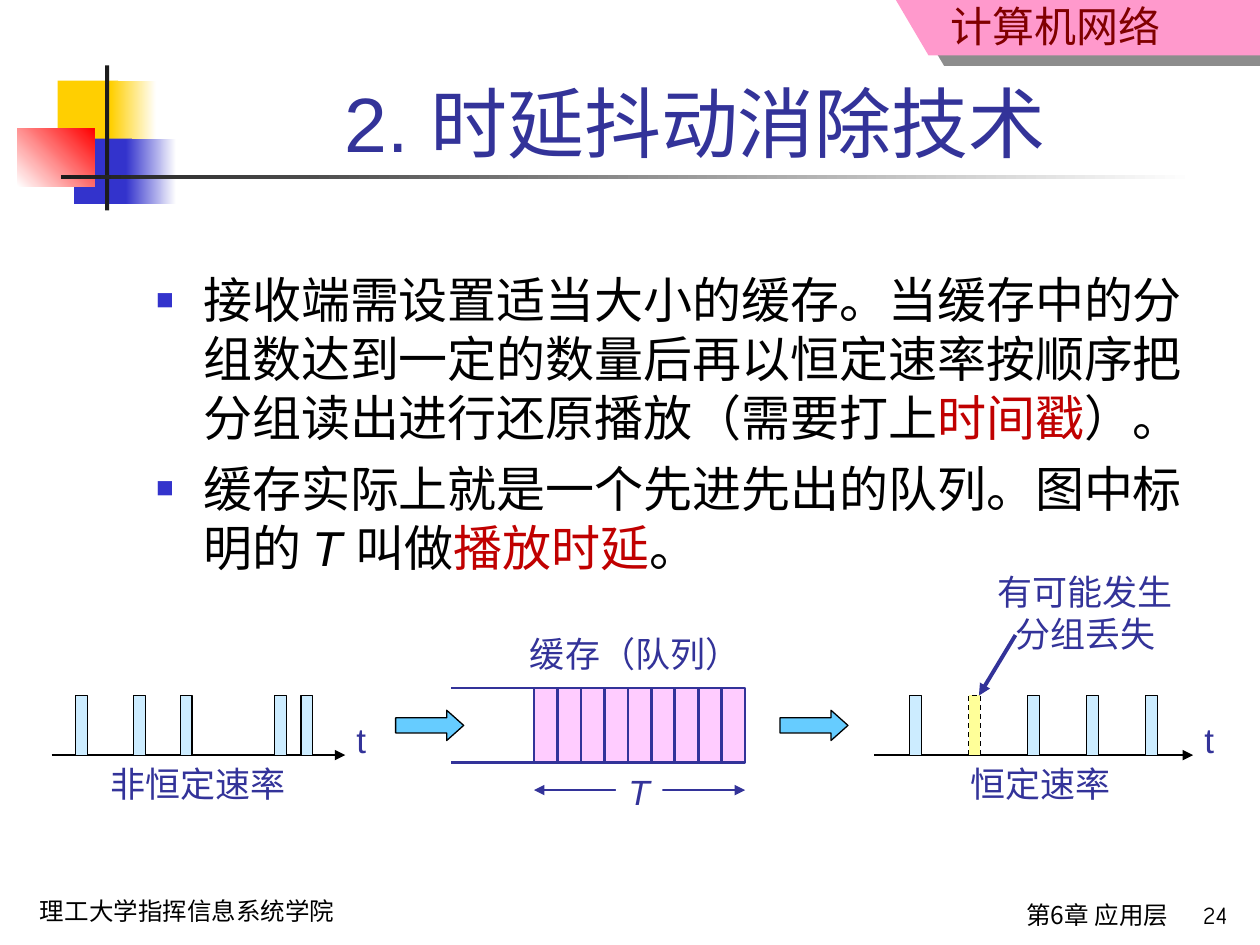
from dataclasses import dataclass
from lxml.etree import SubElement
from pptx import Presentation
from pptx.dml.color import RGBColor
from pptx.enum.dml import MSO_LINE
from pptx.enum.shapes import MSO_CONNECTOR, MSO_SHAPE
from pptx.enum.text import MSO_ANCHOR, PP_ALIGN
from pptx.oxml.ns import qn
from pptx.util import Pt


@dataclass(frozen=True)
class Theme:
    ink: str = "333399"
    black: str = "000000"
    dark: str = "1C1C1C"
    white: str = "FFFFFF"
    blue: str = "3333CC"
    gold: str = "FFCF01"
    red: str = "FF0000"
    accent: str = "C00000"
    banner: str = "FF99CC"
    maroon: str = "800000"
    packet: str = "CCECFF"
    lost: str = "FFFF99"
    queue: str = "FFCCFF"
    arrow: str = "66CCFF"
    title_size: float = 44
    body_size: float = 28
    banner_size: float = 24
    label_size: float = 20
    footer_size: float = 14
    latin: str = "Arial"
    cjk: str = "Noto Sans CJK SC"
    footer: str = "Comic Neue"


THEME = Theme()


def rgb(color):
    return RGBColor.from_string(color)


def style_span(span, size, color, font=THEME.latin, italic=False):
    span.font.size = Pt(size)
    span.font.color.rgb = rgb(color)
    span.font.name = font
    span.font.italic = italic
    SubElement(span.font._element, qn("a:ea"), typeface=THEME.cjk)


def add_text(page, box, text, size, color, font=THEME.latin, align=PP_ALIGN.LEFT,
             wrap=True, anchor=MSO_ANCHOR.TOP, italic=False):
    shape = page.shapes.add_textbox(*map(Pt, box))
    frame = shape.text_frame
    frame.text = text
    frame.word_wrap = wrap
    frame.vertical_anchor = anchor
    for para in frame.paragraphs:
        para.alignment = align
        for span in para.runs:
            style_span(span, size, color, font, italic)
    return shape


def add_label(page, box, text, align=PP_ALIGN.LEFT, italic=False):
    return add_text(page, box, text, THEME.label_size, THEME.ink,
                    align=align, wrap=False, italic=italic)


def paint(shape, fill=None, line=None, width=0.75):
    shape.shadow.inherit = False
    if fill:
        shape.fill.solid()
        shape.fill.fore_color.rgb = rgb(fill)
    else:
        shape.fill.background()
    if line:
        shape.line.color.rgb = rgb(line)
        shape.line.width = Pt(width)
    else:
        shape.line.fill.background()


def add_block(page, box, fill, line=None, kind=MSO_SHAPE.RECTANGLE):
    shape = page.shapes.add_shape(kind, *map(Pt, box))
    paint(shape, fill, line)
    return shape


def add_fade(page, box, start, end, angle=0):
    shape = add_block(page, box, start)
    shape.fill.gradient()
    shape.fill.gradient_angle = angle
    for stop, color in zip(shape.fill.gradient_stops, (start, end)):
        stop.color.rgb = rgb(color)


def add_outline(page, points, close, fill=None, line=None, width=0.75):
    corners = [(Pt(x), Pt(y)) for x, y in points]
    builder = page.shapes.build_freeform(*corners[0])
    builder.add_line_segments(corners[1:], close=close)
    shape = builder.convert_to_shape()
    paint(shape, fill, line, width)
    return shape


def add_line(page, start, end, color, width, ends=()):
    line = page.shapes.add_connector(MSO_CONNECTOR.STRAIGHT, *map(Pt, start + end))
    line.line.color.rgb = rgb(color)
    line.line.width = Pt(width)
    for tag in ends:
        SubElement(line.line._get_or_add_ln(), qn(tag), type="triangle")
    SubElement(line._element.spPr, qn("a:effectLst"))


def draw_emblem(page, left, top):
    add_block(page, (left + 23, top + 8.6, 34.5, 37.5), THEME.gold)
    add_fade(page, (left + 53.3, top + 8.6, 26, 37.5), THEME.gold, THEME.white)
    add_block(page, (left + 32.4, top + 41.8, 33, 37.4), THEME.blue)
    add_fade(page, (left + 62, top + 41.8, 28.8, 37.4), THEME.blue, THEME.white)
    add_fade(page, (left, top + 36, 44, 33.2), THEME.white, THEME.red, 45)
    add_block(page, (left + 50, top, 2.4, 82.8), THEME.dark)
    add_fade(page, (left + 24.8, top + 62.7, 648, 2.2), THEME.dark, THEME.white)


def draw_banner(page, left, top, width, height):
    right, bottom = left + width, top + height
    shape = add_outline(page, [(left, top), (left + 18.7, bottom), (right, bottom),
                               (right, top)], True, THEME.banner)
    effects = shape._element.spPr.find(qn("a:effectLst"))
    shadow = SubElement(effects, qn("a:outerShdw"), blurRad="0", dist=str(Pt(10.8)),
                        dir=str(34 * 60000), algn="ctr", rotWithShape="0")
    color = SubElement(shadow, qn("a:srgbClr"), val=THEME.dark)
    SubElement(color, qn("a:alpha"), val="50000")
    label = add_text(page, (left - 95.8, top, 254.2, 32.4), "计算机网络", THEME.banner_size,
                     THEME.maroon, THEME.cjk, PP_ALIGN.RIGHT)
    label.text_frame.margin_top = 0


def draw_body(page, box, paragraphs):
    frame = page.shapes.add_textbox(*map(Pt, box)).text_frame
    frame.word_wrap = True
    for index, parts in enumerate(paragraphs):
        para = frame.paragraphs[0] if index == 0 else frame.add_paragraph()
        properties = para._p.get_or_add_pPr()
        properties.set("marL", str(Pt(27)))
        properties.set("indent", str(Pt(-27)))
        para.space_before = Pt(7 if index else 0)
        bullet = SubElement(properties, qn("a:buClr"))
        SubElement(bullet, qn("a:srgbClr"), val=THEME.blue)
        SubElement(properties, qn("a:buSzPct"), val="60000")
        SubElement(properties, qn("a:buFont"), typeface=THEME.latin)
        SubElement(properties, qn("a:buChar"), char="■")
        for text, color, italic in parts:
            span = para.add_run()
            span.text = text
            style_span(span, THEME.body_size, color, italic=italic)


def draw_stream(page, left, base, width, offsets, caption, caption_box, lost=None):
    add_line(page, (left, base), (left + width, base), THEME.black, 0.75, ["a:tailEnd"])
    for index, offset in enumerate(offsets):
        x, top = left + offset, base - 34.2
        fill = THEME.lost if index == lost else THEME.packet
        packet = add_outline(page, [(x, base), (x, top), (x + 6.7, top), (x + 6.7, base)],
                             False, fill, THEME.black)
        if index == lost:
            packet.line.dash_style = MSO_LINE.DASH
    add_label(page, (left + width - 0.7, base - 24.5, 19.4, 31.7), "t")
    add_label(page, (left + caption_box[0], base + 0.7, caption_box[1], 31.7), caption)


def draw_queue(page, left, top, width, height):
    cells, pitch = 9, 13.4
    right, bottom = left + width, top + height
    first = right - cells * pitch
    add_block(page, (first, top, cells * pitch, height), THEME.queue)
    middle = bottom + 15.9
    add_line(page, (first, middle), (right, middle), THEME.ink, 1.5,
             ["a:headEnd", "a:tailEnd"])
    delay = add_label(page, (first + 46.8, bottom + 1.4, 26.6, 31.7), "T", italic=True)
    paint(delay, THEME.white)
    add_outline(page, [(left, top), (right, top), (right, bottom), (left, bottom)],
                False, line=THEME.ink, width=1.5)
    for index in range(cells):
        x = first + index * pitch
        add_line(page, (x, top), (x, bottom), THEME.ink, 1.5)
    add_label(page, (first - 9.4, top - 35.3, 134.6, 31.7), "缓存（队列）")


def draw_flow_arrow(page, left, top):
    arrow = add_block(page, (left, top, 38.9, 17.3), THEME.arrow, THEME.black,
                      MSO_SHAPE.RIGHT_ARROW)
    arrow.adjustments[1] = 0.56


def draw_loss_note(page, left, top):
    add_label(page, (left, top, 114.5, 55.4), "有可能发生\n分组丢失", PP_ALIGN.CENTER)
    add_line(page, (left + 17.3, top + 40.3), (left - 3.6, top + 74.9), THEME.ink, 2.25,
             ["a:tailEnd"])


def draw_footer(page, top):
    for box, text, font, align in (
            ((15.8, top, 224, 24.5), "理工大学指挥信息系统学院", THEME.footer, PP_ALIGN.LEFT),
            ((651.6, top + 2.2, 56.9, 27.4), "24", THEME.footer, PP_ALIGN.RIGHT),
            ((308.9, top + 2.2, 365.8, 29.5), "第6章 应用层", THEME.cjk, PP_ALIGN.RIGHT)):
        add_text(page, box, text, THEME.footer_size, THEME.black, font, align)


def main():
    deck = Presentation()
    deck.slide_width, deck.slide_height = Pt(720), Pt(540)
    page = deck.slides.add_slide(deck.slide_layouts[6])
    draw_emblem(page, 10, 37.4)
    draw_banner(page, 511.9, 0, 208.1, 31.7)
    add_text(page, (90.7, 16.6, 613.4, 82.8), "2. 时延抖动消除技术", THEME.title_size,
             THEME.ink, align=PP_ALIGN.CENTER, anchor=MSO_ANCHOR.BOTTOM)
    plain, accent = THEME.black, THEME.accent
    draw_body(page, (82.1, 150.5, 612, 324), [
        [("接收端需设置适当大小的缓存。当缓存中的分组数达到一定的数量后再以恒定速率按顺序把"
          "分组读出进行还原播放（需要打上", plain, False),
         ("时间戳", accent, False), ("）。", plain, False)],
        [("缓存实际上就是一个先进先出的队列。图中标明的 ", plain, False), ("T ", plain, True),
         ("叫做", plain, False), ("播放时延", accent, False), ("。", plain, False)]])
    draw_stream(page, 29.5, 431.5, 167.8, [13.7, 46.8, 73.5, 127.5, 142.6],
                "非恒定速率", (26.7, 114.5))
    draw_flow_arrow(page, 226.1, 405.9)
    draw_queue(page, 257.8, 393.1, 168, 42.5)
    draw_flow_arrow(page, 445.7, 405.9)
    draw_stream(page, 499.7, 431.5, 182.1, [20.1 + 33.7 * index for index in range(5)],
                "恒定速率", (47.5, 94.3), lost=1)
    draw_loss_note(page, 563, 322.6)
    draw_footer(page, 508.3)
    deck.save("out.pptx")


if __name__ == "__main__":
    main()
